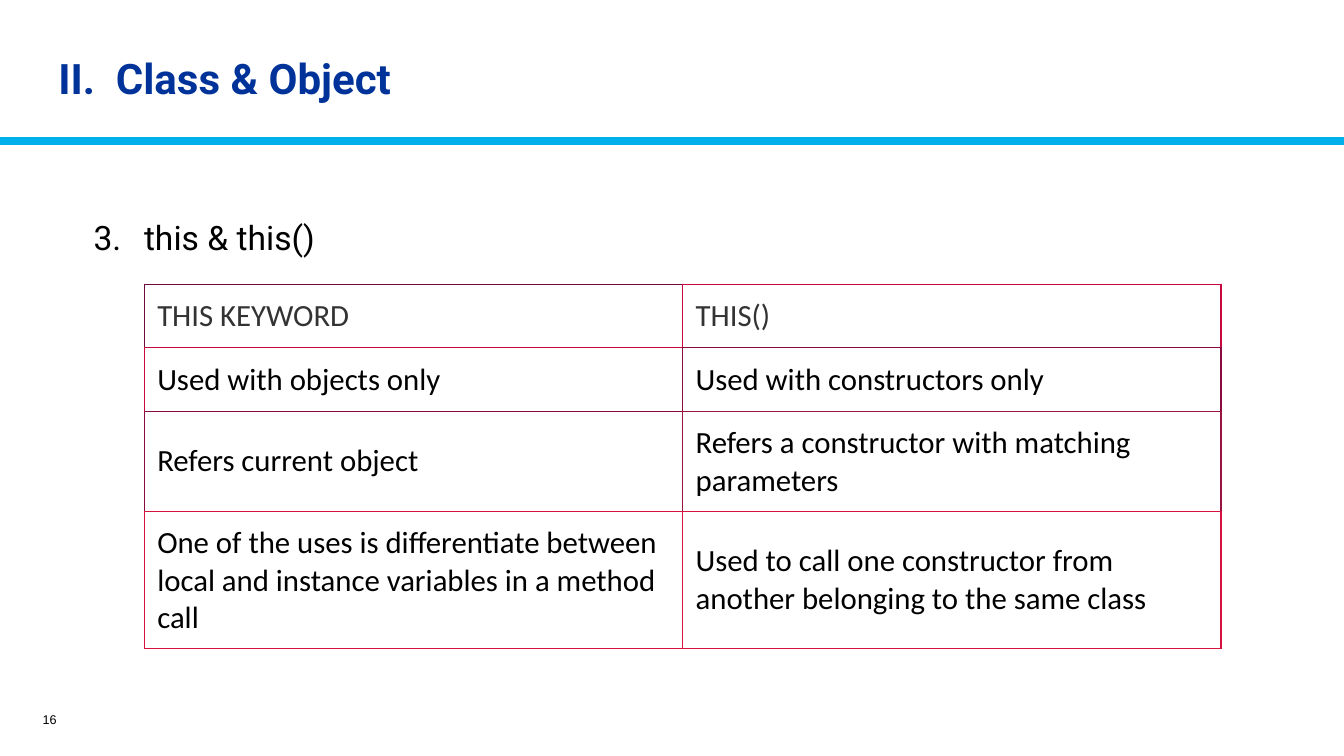
import pptx
import pptx.util
import pptx.dml.color
import pptx.enum.shapes
import pptx.enum.text
from lxml import etree

COLORS = {
    "title": "003399", "rule": "00B0EA", "text": "000000", "header": "333333", "cell": "FFFFFF",
    "plum": "70093E", "crimson": "C8083E", "wine": "880A3E", "berry": "98143E", "red": "D8123E",
}
TITLE = "II.  Class & Object"
TOPIC = "this & this()"
TOPIC_NUMBER = 3
PAGE_NUMBER = "16"
ROWS = [
    ("THIS KEYWORD", "THIS()"),
    ("Used with objects only", "Used with constructors only"),
    ("Refers current object", "Refers a constructor with matching parameters"),
    ("One of the uses is differentiate between local and instance variables in a method call",
     "Used to call one constructor from another belonging to the same class"),
]
SIDES = ("lnL", "lnR", "lnT", "lnB")
BORDERS = [
    (("plum", "crimson", "plum", "crimson"), ("crimson", "crimson", "crimson", "wine")),
    (("crimson", "wine", "crimson", "wine"), ("wine", "wine", "wine", "berry")),
    (("wine", "berry", "wine", "red"), ("berry", "berry", "berry", "red")),
    (("red", "red", "red", "red"), ("red", "red", "red", "red")),
]
ROW_HEIGHTS = (0.63, 0.63, 0.99, 1.35)
COLUMN_WIDTH = 5.34
CELL_MARGIN = 0.13
WIDTH, HEIGHT = 13.33, 7.5
RULE_TOP = 1.4

Inches, Pt = pptx.util.Inches, pptx.util.Pt
MIDDLE = pptx.enum.text.MSO_ANCHOR.MIDDLE


def rgb(name):
    return pptx.dml.color.RGBColor.from_string(COLORS[name])


def add_element(parent, tag, **attributes):
    return etree.SubElement(parent, pptx.oxml.ns.qn(tag), attributes)


def style(para, font, size, color, bold=False):
    for span in para.runs:
        span.font.name = font
        span.font.size = Pt(size)
        span.font.bold = bold
        span.font.color.rgb = rgb(color)


def add_text(page, area, text, font, size, color, bold=False, anchor=None):
    box = page.shapes.add_textbox(*map(Inches, area))
    frame = box.text_frame
    frame.word_wrap = True
    frame.vertical_anchor = anchor
    frame.text = text
    para = frame.paragraphs[0]
    style(para, font, size, color, bold)
    return para


def add_rule(page):
    rule = page.shapes.add_connector(
        pptx.enum.shapes.MSO_CONNECTOR.STRAIGHT,
        0, Inches(RULE_TOP), Inches(WIDTH), Inches(RULE_TOP))
    rule.line.color.rgb = rgb("rule")
    rule.line.width = Pt(6)
    add_element(rule._element.spPr, "a:effectLst")


def number_paragraph(para, start):
    properties = para._p.get_or_add_pPr()
    properties.set("marL", str(Inches(0.5)))
    properties.set("indent", str(Inches(-0.5)))
    color = add_element(properties, "a:buClr")
    add_element(color, "a:srgbClr", val=COLORS["text"])
    add_element(properties, "a:buFont", typeface="Roboto")
    add_element(properties, "a:buAutoNum", type="arabicPeriod", startAt=str(start))


def fill_cell(cell, text, color, borders):
    cell.margin_left = cell.margin_right = Inches(CELL_MARGIN)
    cell.margin_top = cell.margin_bottom = Inches(CELL_MARGIN)
    cell.vertical_anchor = MIDDLE
    cell.text = text
    style(cell.text_frame.paragraphs[0], "Calibri", 22, color)
    properties = cell._tc.get_or_add_tcPr()
    for side, border in zip(SIDES, borders):
        line = add_element(properties, "a:" + side, w=str(Pt(1)))
        fill = add_element(line, "a:solidFill")
        add_element(fill, "a:srgbClr", val=COLORS[border])
    cell.fill.solid()
    cell.fill.fore_color.rgb = rgb("cell")


def add_comparison(page):
    columns = len(ROWS[0])
    frame = page.shapes.add_table(
        len(ROWS), columns, Inches(1.43), Inches(2.82),
        Inches(COLUMN_WIDTH * columns), Inches(sum(ROW_HEIGHTS)))
    table = frame.table
    table.first_row = table.horz_banding = False
    for column in table.columns:
        column.width = Inches(COLUMN_WIDTH)
    for index, (texts, borders) in enumerate(zip(ROWS, BORDERS)):
        table.rows[index].height = Inches(ROW_HEIGHTS[index])
        color = "text" if index else "header"
        for cell, text, edges in zip(table.rows[index].cells, texts, borders):
            fill_cell(cell, text, color, edges)


def main():
    deck = pptx.Presentation()
    deck.slide_width, deck.slide_height = Inches(WIDTH), Inches(HEIGHT)
    page = deck.slides.add_slide(deck.slide_layouts[6])
    add_rule(page)
    number = add_text(page, (0.09, 6.99, 0.57, 0.3), PAGE_NUMBER, "Arial", 9, "text", anchor=MIDDLE)
    number.alignment = pptx.enum.text.PP_ALIGN.RIGHT
    title = add_text(page, (0.48, 0.39, 9.02, 0.83), TITLE, "Roboto", 30, "title", True, MIDDLE)
    title.line_spacing = 0.9
    topic = add_text(page, (0.83, 2.1, 12.05, 0.6), TOPIC, "Roboto", 24, "text")
    number_paragraph(topic, TOPIC_NUMBER)
    add_comparison(page)
    deck.save("out.pptx")


if __name__ == "__main__":
    main()
